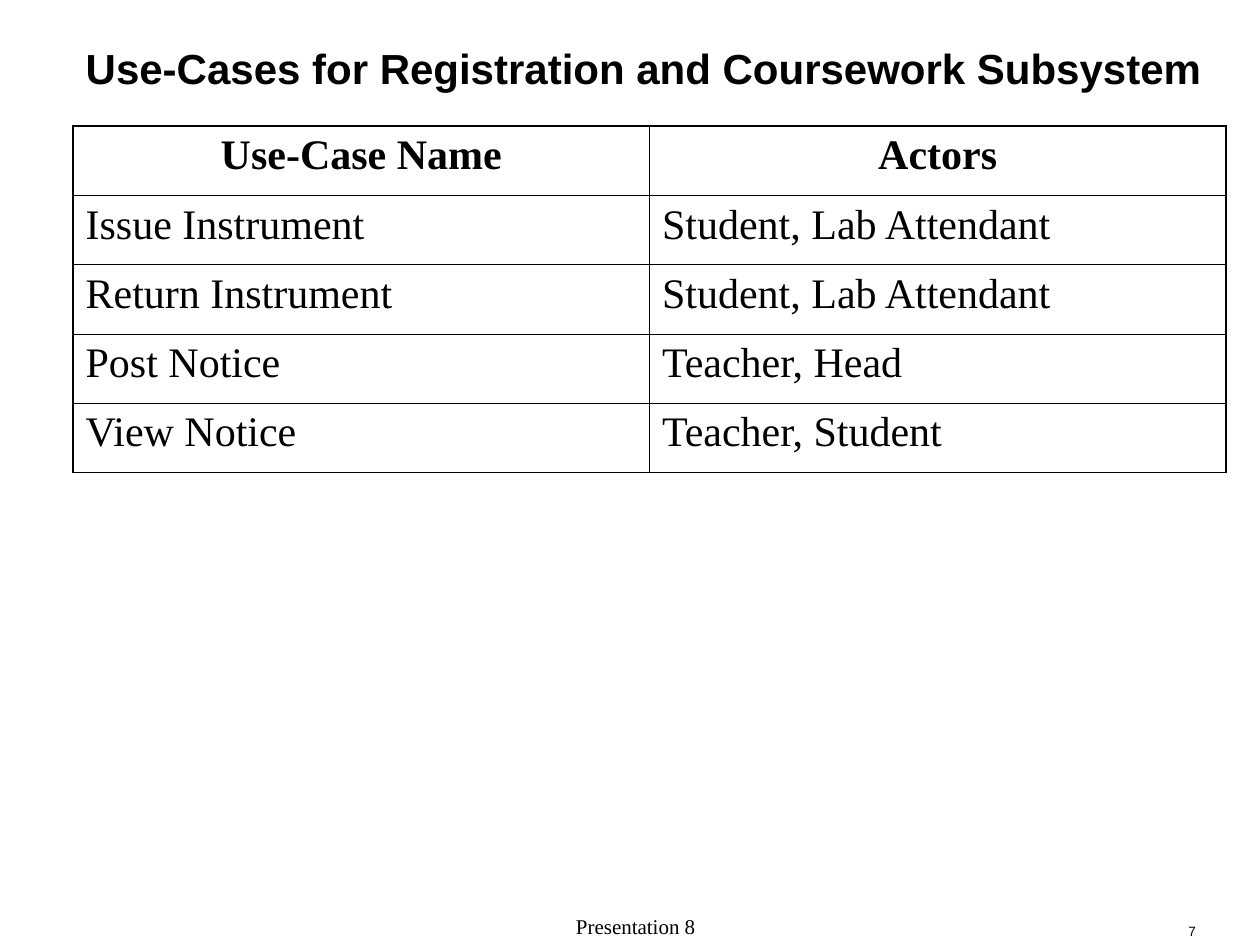
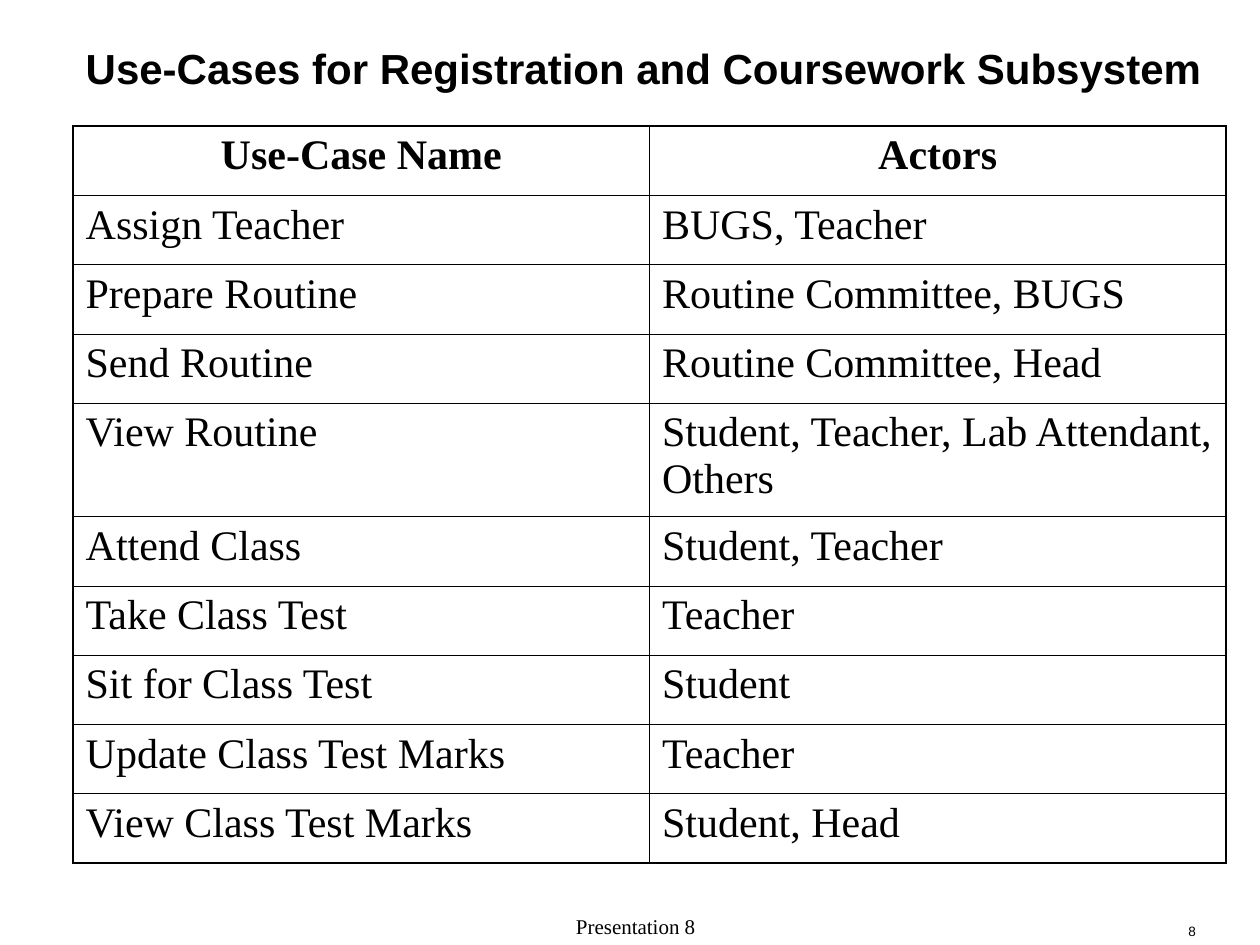
from lxml import etree
from pptx import Presentation
from pptx.dml.color import RGBColor
from pptx.enum.text import MSO_ANCHOR, MSO_AUTO_SIZE, PP_ALIGN
from pptx.oxml.ns import qn
from pptx.util import Inches, Pt

LEFT, CENTER, RIGHT = PP_ALIGN.LEFT, PP_ALIGN.CENTER, PP_ALIGN.RIGHT
TOP, MIDDLE, BOTTOM = MSO_ANCHOR.TOP, MSO_ANCHOR.MIDDLE, MSO_ANCHOR.BOTTOM

COLORS = {"ink": "000000", "paper": "FFFFFF"}
SLIDE_WIDTH, SLIDE_HEIGHT = Inches(10), Inches(7.5)
MARGIN = Inches(0.58)
TABLE_TOP, TABLE_WIDTH = Inches(1), Inches(9.15)
ROW_HEIGHT, TALL_ROW_HEIGHT = Inches(0.55), Inches(0.9)
ONE_LINE_LIMIT = 35  # characters that fit on one line of a cell
FOOTER_HEIGHT = SLIDE_HEIGHT // 30
OUTER_LINE, INNER_LINE = Pt(1.08), Pt(0.45)

TITLE = "Use-Cases for Registration and Coursework Subsystem"
FOOTER = "Presentation 8"
HEADER = ("Use-Case Name", "Actors")
FIRST_PAGE = 7
USE_CASES = [
    [
        ("Issue Instrument", "Student, Lab Attendant"),
        ("Return Instrument", "Student, Lab Attendant"),
        ("Post Notice", "Teacher, Head"),
        ("View Notice", "Teacher, Student"),
    ],
    [
        ("Assign Teacher", "BUGS, Teacher"),
        ("Prepare Routine", "Routine Committee, BUGS"),
        ("Send Routine", "Routine Committee, Head"),
        ("View Routine", "Student, Teacher, Lab Attendant, Others"),
        ("Attend Class", "Student, Teacher"),
        ("Take Class Test", "Teacher"),
        ("Sit for Class Test", "Student"),
        ("Update Class Test Marks", "Teacher"),
        ("View Class Test Marks", "Student, Head"),
    ],
]

TITLE_FONT = {"name": "Arial", "size": Pt(24), "bold": True}
HEADER_FONT = {"name": "Times New Roman", "size": Pt(24), "bold": True}
BODY_FONT = {**HEADER_FONT, "bold": False}
FOOTER_FONT = {"name": "Times New Roman", "size": Pt(12)}
PAGE_FONT = {"name": "Arial", "size": Pt(7.7)}


def write(frame, text, font, alignment, anchor):
    """Fill a text frame with one formatted paragraph and return it."""
    frame.word_wrap = True
    frame.vertical_anchor = anchor
    paragraph = frame.paragraphs[0]
    paragraph.alignment = alignment
    run = paragraph.add_run()
    run.text = text
    for name, value in font.items():
        setattr(run.font, name, value)
    run.font.color.rgb = RGBColor.from_string(COLORS["ink"])
    return paragraph


def draw_borders(cell, widths):
    """Set the cell's border lines; widths maps a side (L, R, T, B) to a width."""
    properties = cell._tc.get_or_add_tcPr()
    for side, width in widths.items():
        line = etree.SubElement(properties, qn(f"a:ln{side}"), w=str(width))
        fill = etree.SubElement(line, qn("a:solidFill"))
        etree.SubElement(fill, qn("a:srgbClr"), val=COLORS["ink"])


presentation = Presentation()
presentation.slide_width, presentation.slide_height = SLIDE_WIDTH, SLIDE_HEIGHT
title_only = presentation.slide_layouts[5]

for page, use_cases in enumerate(USE_CASES, FIRST_PAGE):
    slide = presentation.slides.add_slide(title_only)
    slide.background.fill.solid()
    slide.background.fill.fore_color.rgb = RGBColor.from_string(COLORS["paper"])

    title = slide.shapes.title
    title.left, title.top = MARGIN, SLIDE_HEIGHT // 30
    title.width, title.height = SLIDE_WIDTH - MARGIN, Inches(0.58)
    title.text_frame.auto_size = MSO_AUTO_SIZE.NONE
    write(title.text_frame, TITLE, TITLE_FONT, LEFT, MIDDLE)

    footer_top = SLIDE_HEIGHT - FOOTER_HEIGHT
    footer = slide.shapes.add_textbox(Inches(3.42), footer_top, Inches(3.25), FOOTER_HEIGHT)
    write(footer.text_frame, FOOTER, FOOTER_FONT, CENTER, BOTTOM)
    page_number = slide.shapes.add_textbox(Inches(8.42), footer_top, Inches(1.17), FOOTER_HEIGHT)
    write(page_number.text_frame, str(page), PAGE_FONT, RIGHT, BOTTOM).line_spacing = 0.8

    rows = [HEADER, *use_cases]
    heights = [TALL_ROW_HEIGHT if len(actors) > ONE_LINE_LIMIT else ROW_HEIGHT
               for _, actors in rows]
    table = slide.shapes.add_table(
        len(rows), len(HEADER), MARGIN, TABLE_TOP, TABLE_WIDTH, sum(heights)).table
    table.horz_banding = False
    last_row, last_column = len(rows) - 1, len(HEADER) - 1
    for row, (texts, height) in enumerate(zip(rows, heights)):
        table.rows[row].height = height
        font, alignment = (HEADER_FONT, CENTER) if row == 0 else (BODY_FONT, LEFT)
        for column, text in enumerate(texts):
            cell = table.cell(row, column)
            write(cell.text_frame, text, font, alignment, TOP)
            cell.vertical_anchor = TOP
            outer_sides = {"L": column == 0, "R": column == last_column,
                           "T": row == 0, "B": row == last_row}
            draw_borders(cell, {side: OUTER_LINE if outer else INNER_LINE
                                for side, outer in outer_sides.items()})
            cell.fill.background()

presentation.save("out.pptx")
